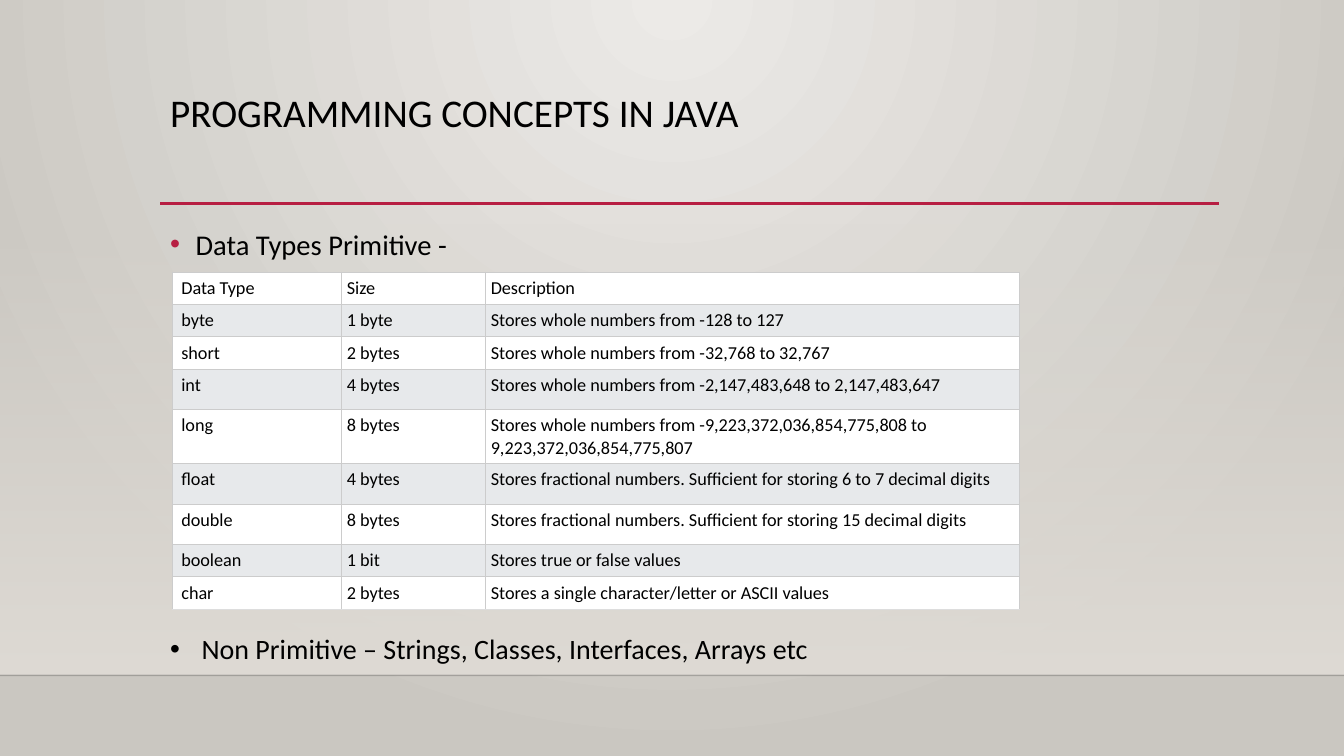
from dataclasses import dataclass

from lxml import etree
from pptx import Presentation
from pptx.dml.color import RGBColor
from pptx.enum import shapes, text
from pptx.oxml import ns, parse_xml
from pptx.util import Cm, Pt

FONT = "Calibri"
COLORS = {
    "text": "000000",
    "accent": "B71E42",
    "floor_line": "000001",
    "glow": "ECEAE7",
    "edge": "CAC7C1",
    "haze": "DFDBD5",
    "row": "FFFFFF",
    "row_alt": "E7E9EB",
    "border": "CCCCCC",
    "border_end": "DDDDDD",
}
SLIDE_W, SLIDE_H = 33.87, 19.05
LEFT, CONTENT_W = 4.04, 26.67
COL_WIDTHS = (4.27, 3.63, 13.46)
CELL_INSET, FIRST_INSET = 0.13, 0.23
ROW_H, ROW_MID, ROW_TALL = 0.66, 1.02, 1.22


@dataclass
class TextBlock:
    words: str
    top: float
    width: float
    height: float
    size: float
    hanging: float = 0
    bullet_color: str = ""
    line_spacing: float = 1.0


@dataclass
class Rule:
    left: float
    right: float
    y: float
    weight: float
    color: str
    opacity: int = 100


@dataclass
class TypeRow:
    cells: tuple[str, str, str]
    height: float = ROW_H


TEXT_BLOCKS = [
    TextBlock("PROGRAMMING CONCEPTS IN JAVA", 2.24, CONTENT_W, 2.92, 28, line_spacing=0.9),
    TextBlock("Data Types Primitive -", 5.59, CONTENT_W, 1.2, 20.4, 0.64, "accent"),
    TextBlock("Non Primitive – Strings, Classes, Interfaces, Arrays etc",
              15.8, 18.57, 1.12, 20, 0.79, "text"),
]
RULES = [
    Rule(0, SLIDE_W, 17.02, 1, "floor_line", 20),
    Rule(LEFT, 30.73, 5.13, 2.5, "accent"),
]
TYPE_ROWS = [
    TypeRow(("Data Type", "Size", "Description")),
    TypeRow(("byte", "1 byte", "Stores whole numbers from -128 to 127")),
    TypeRow(("short", "2 bytes", "Stores whole numbers from -32,768 to 32,767")),
    TypeRow(("int", "4 bytes", "Stores whole numbers from -2,147,483,648 to 2,147,483,647"),
            ROW_MID),
    TypeRow(("long", "8 bytes", "Stores whole numbers from -9,223,372,036,854,775,808 to "
             "9,223,372,036,854,775,807"), ROW_TALL),
    TypeRow(("float", "4 bytes",
             "Stores fractional numbers. Sufficient for storing 6 to 7 decimal digits"), ROW_MID),
    TypeRow(("double", "8 bytes",
             "Stores fractional numbers. Sufficient for storing 15 decimal digits"), ROW_MID),
    TypeRow(("boolean", "1 bit", "Stores true or false values")),
    TypeRow(("char", "2 bytes", "Stores a single character/letter or ASCII values")),
]


def rgb(name: str) -> RGBColor:
    return RGBColor.from_string(COLORS[name])


def set_gradient(element, start: str, end: str, direction: str, start_opacity: int = 100) -> None:
    """Replace the element's solid fill with a two-stop gradient."""
    solid = element.find(".//" + ns.qn("a:solidFill"))
    gradient = parse_xml(
        f'<a:gradFill {ns.nsdecls("a")} rotWithShape="1"><a:gsLst>'
        f'<a:gs pos="0"><a:srgbClr val="{COLORS[start]}">'
        f'<a:alpha val="{start_opacity * 1000}"/></a:srgbClr></a:gs>'
        f'<a:gs pos="100000"><a:srgbClr val="{COLORS[end]}"/></a:gs>'
        f'</a:gsLst>{direction}</a:gradFill>')
    solid.getparent().replace(solid, gradient)


def add_backdrop(slide) -> None:
    slide.background.fill.solid()
    set_gradient(slide.element, "glow", "edge",
                 '<a:path path="circle">'
                 '<a:fillToRect l="43000" t="0" r="43000" b="100000"/></a:path>')
    sp = slide.shapes.add_shape(shapes.MSO_SHAPE.RECTANGLE,
                                Cm(0), Cm(5.61), Cm(SLIDE_W), Cm(11.4))
    sp.shadow.inherit = False
    sp.line.fill.background()
    sp.fill.solid()
    set_gradient(sp.element, "haze", "haze", '<a:lin ang="5400000" scaled="0"/>', 0)


def add_rule(slide, rule: Rule) -> None:
    line = slide.shapes.add_connector(shapes.MSO_CONNECTOR.STRAIGHT, Cm(rule.left), Cm(rule.y),
                                      Cm(rule.right), Cm(rule.y))
    line.line.width = Pt(rule.weight)
    line.line.color.rgb = rgb(rule.color)
    sp_pr = line.element.spPr
    etree.SubElement(sp_pr, ns.qn("a:effectLst"))
    if rule.opacity < 100:
        color = sp_pr.find(".//" + ns.qn("a:srgbClr"))
        etree.SubElement(color, ns.qn("a:alpha"), val=str(rule.opacity * 1000))


def style_font(p, size: float) -> None:
    p.font.name = FONT
    p.font.size = Pt(size)
    p.font.color.rgb = rgb("text")


def add_bullet(p, hanging: float, color: str) -> None:
    p_pr = p._p.get_or_add_pPr()
    p_pr.set("marL", str(Cm(hanging)))
    p_pr.set("indent", str(-Cm(hanging)))
    bu_clr = etree.SubElement(p_pr, ns.qn("a:buClr"))
    etree.SubElement(bu_clr, ns.qn("a:srgbClr"), val=COLORS[color])
    etree.SubElement(p_pr, ns.qn("a:buFont"), typeface="Arial")
    etree.SubElement(p_pr, ns.qn("a:buChar"), char="•")


def add_text(slide, block: TextBlock) -> None:
    sp = slide.shapes.add_textbox(Cm(LEFT), Cm(block.top), Cm(block.width), Cm(block.height))
    tf = sp.text_frame
    tf.word_wrap = True
    tf.vertical_anchor = text.MSO_ANCHOR.TOP
    p = tf.paragraphs[0]
    p.text = block.words
    p.line_spacing = block.line_spacing
    if block.bullet_color:
        add_bullet(p, block.hanging, block.bullet_color)
    style_font(p, block.size)


def set_borders(cell, bottom: str) -> None:
    tc_pr = cell._tc.get_or_add_tcPr()
    sides = {"lnL": "border", "lnR": "border", "lnT": "border", "lnB": bottom}
    for side, color in sides.items():
        ln = etree.SubElement(tc_pr, ns.qn(f"a:{side}"), w=str(Pt(0.6)))
        fill = etree.SubElement(ln, ns.qn("a:solidFill"))
        etree.SubElement(fill, ns.qn("a:srgbClr"), val=COLORS[color])


def add_type_table(slide, rows: list[TypeRow]) -> None:
    frame = slide.shapes.add_table(len(rows), len(COL_WIDTHS), Cm(4.34), Cm(6.86),
                                   Cm(sum(COL_WIDTHS)), Cm(sum(row.height for row in rows)))
    table = frame.table
    table.first_row = table.horz_banding = False
    for column, width in zip(table.columns, COL_WIDTHS):
        column.width = Cm(width)
    for r, row in enumerate(rows):
        table.rows[r].height = Cm(row.height)
        for c, words in enumerate(row.cells):
            cell = table.cell(r, c)
            set_borders(cell, "border_end" if r == len(rows) - 1 else "border")
            cell.fill.solid()
            cell.fill.fore_color.rgb = rgb("row_alt" if r % 2 else "row")
            cell.margin_left = Cm(CELL_INSET if c else FIRST_INSET)
            cell.margin_right = cell.margin_top = cell.margin_bottom = Cm(CELL_INSET)
            p = cell.text_frame.paragraphs[0]
            p.text = words
            style_font(p, 13)


def main() -> None:
    prs = Presentation()
    prs.slide_width, prs.slide_height = Cm(SLIDE_W), Cm(SLIDE_H)
    slide = prs.slides.add_slide(prs.slide_layouts[6])
    add_backdrop(slide)
    for rule in RULES:
        add_rule(slide, rule)
    for block in TEXT_BLOCKS:
        add_text(slide, block)
    add_type_table(slide, TYPE_ROWS)
    prs.save("out.pptx")


if __name__ == "__main__":
    main()
